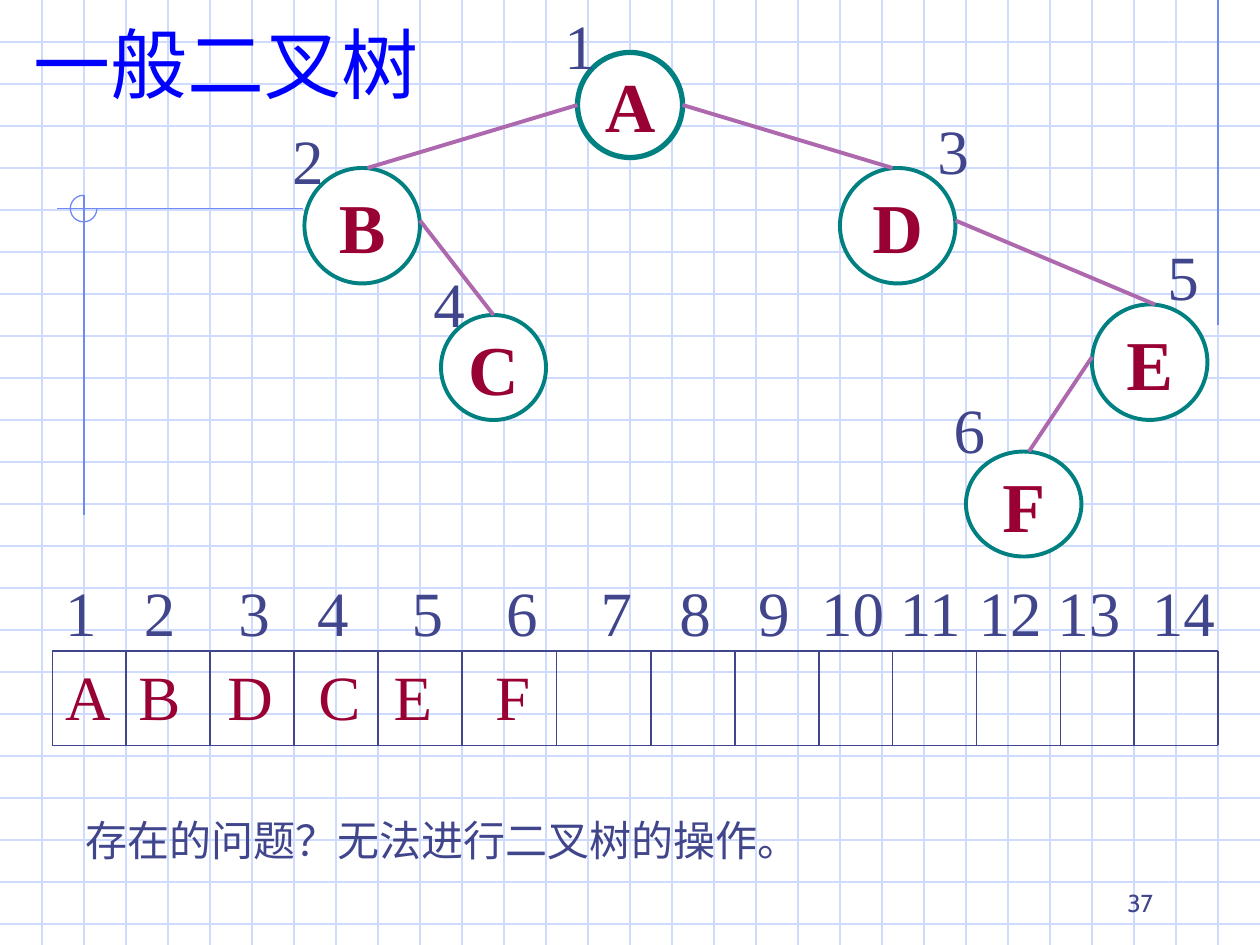
from pptx import Presentation
from pptx.dml.color import RGBColor
from pptx.enum.shapes import MSO_CONNECTOR, MSO_SHAPE
from pptx.enum.text import MSO_ANCHOR, MSO_AUTO_SIZE, PP_ALIGN
from pptx.oxml.ns import qn
from pptx.util import Pt
from lxml import etree

STRAIGHT = MSO_CONNECTOR.STRAIGHT
OVAL, ARC = MSO_SHAPE.OVAL, MSO_SHAPE.ARC
TOP, MIDDLE, BOTTOM = MSO_ANCHOR.TOP, MSO_ANCHOR.MIDDLE, MSO_ANCHOR.BOTTOM
LEFT, CENTER, RIGHT = PP_ALIGN.LEFT, PP_ALIGN.CENTER, PP_ALIGN.RIGHT
NO_FIT = MSO_AUTO_SIZE.NONE

SERIF, SANS = "Times New Roman", "Cabin"
INK, CRIMSON, TEAL, MAUVE = "40458C", "990033", "008080", "AE68AE"
GRID, ACCENT, BLUE, WHITE = "CFDBFD", "6F89F7", "0000FF", "FFFFFF"

NODES = {
    "A": (330, 30, 60, 60, 30),
    "B": (174, 96, 66, 66, 36),
    "C": (252, 180, 60, 60, 30),
    "D": (480, 96, 66, 66, 30),
    "E": (624, 174, 66, 66, 36),
    "F": (552, 258, 66, 60, 36),
}
EDGES = [("A", "B", LEFT), ("B", "C", RIGHT), ("A", "D", RIGHT),
         ("D", "E", RIGHT), ("E", "F", LEFT)]
NUMBERS = {"1": (315.4, 0), "2": (159.8, 66), "3": (528.5, 60),
           "4": (240.5, 147.6), "5": (660, 132), "6": (537.8, 219.6)}

CELL_EDGES = [30, 72, 120, 168, 216, 264, 318, 372,
              420, 468, 510, 558, 606, 648, 696]
INDEX_STARTS = [37.2, 82.2, 136.2, 181.2, 235.2, 289.2, 343.2,
                388.2, 433.2, 469.2, 514.2, 559.2, 604.2, 658.2]
VALUE_STARTS = [37.2, 79, 130, 182, 225, 283]


def color(value):
    return RGBColor.from_string(value)


def add_line(page, start, end, stroke, width):
    line = page.shapes.add_connector(STRAIGHT, *map(Pt, start + end))
    line.line.color.rgb = color(stroke)
    line.line.width = Pt(width)
    etree.SubElement(line._element.spPr, qn("a:effectLst"))


def write(shape, text, size, font, fill, align=LEFT, anchor=TOP, wrap=True, bold=False):
    frame = shape.text_frame
    frame.word_wrap = wrap
    frame.auto_size = NO_FIT
    frame.vertical_anchor = anchor
    para = frame.paragraphs[0]
    para.text = text
    para.alignment = align
    para.font.size = Pt(size)
    para.font.name = font
    para.font.bold = bold
    para.font.color.rgb = color(fill)
    return para


def add_text(page, box, *args, **options):
    label = page.shapes.add_textbox(*map(Pt, box))
    return label, write(label, *args, **options)


def draw_background(page, box):
    left, top, width, height = box
    right, bottom = left + width, top + height
    for y in range(top + 24, bottom, 24):
        add_line(page, (left, y), (right, y), GRID, 0.75)
    for x in range(left + 24, right, 24):
        add_line(page, (x, top), (x, bottom), GRID, 0.75)
    add_line(page, (left + 696, top), (left + 696, top + 186), ACCENT, 0.75)
    add_line(page, (left + 173, top + 119.2), (left + 32.4, top + 119.2), ACCENT, 0.75)
    add_line(page, (left + 48, top + 111.6), (left + 48, top + 294.5), ACCENT, 0.75)
    ring = page.shapes.add_shape(ARC, Pt(left + 40.2), Pt(top + 111.6), Pt(15.2), Pt(15.2))
    ring.adjustments[0], ring.adjustments[1] = 0, 162
    ring.shadow.inherit = False
    ring.fill.background()
    ring.line.color.rgb = color(ACCENT)
    ring.line.width = Pt(0.75)


def draw_tree(page, box):
    origin_x, origin_y = box[:2]
    for name, (x, y, width, height, _) in NODES.items():
        node = page.shapes.add_shape(
            OVAL, Pt(origin_x + x), Pt(origin_y + y), Pt(width), Pt(height))
        node.shadow.inherit = False
        node.fill.solid()
        node.fill.fore_color.rgb = color(WHITE)
        node.line.color.rgb = color(TEAL)
        node.line.width = Pt(3 if name == "A" else 2.25)
        write(node, name, 40, SERIF, CRIMSON, CENTER, MIDDLE, wrap=False, bold=True)
    for parent, child, side in EDGES:
        x, y, width, _, _ = NODES[parent]
        child_x, child_y, _, _, joint = NODES[child]
        start_x = x + width if side == RIGHT else x
        add_line(page, (origin_x + start_x, origin_y + y + 30),
                 (origin_x + child_x + joint, origin_y + child_y), MAUVE, 2.25)
    for number, (x, y) in NUMBERS.items():
        add_text(page, (origin_x + x, origin_y + y, 32.4, 50.4),
                 number, 36, SERIF, INK, wrap=False)


def add_tabbed_row(page, box, items, starts, fill):
    label, para = add_text(page, box, "\t".join(items), 36, SERIF, fill)
    label.text_frame.margin_left = Pt(starts[0] - box[0])
    label.text_frame.margin_right = 0
    stops = etree.Element(qn("a:tabLst"))
    for start in starts[1:]:
        etree.SubElement(stops, qn("a:tab"), pos=str(Pt(start - starts[0])), algn="l")
    para._p.get_or_add_pPr().insert(0, stops)


def draw_array(page, box):
    left, top, width, height = box
    right, bottom = left + width, top + height
    for y in (top, bottom):
        add_line(page, (left, y), (right, y), INK, 1)
    for x in CELL_EDGES:
        add_line(page, (x, top), (x, bottom), INK, 1)
    add_tabbed_row(page, (24, top, 288, 50.4), "ABDCEF", VALUE_STARTS, CRIMSON)
    indexes = [str(number) for number in range(1, len(CELL_EDGES))]
    add_tabbed_row(page, (24, top - 48, 696, 50.4), indexes, INDEX_STARTS, INK)


def place_title(page, box):
    title = page.shapes.title
    title.left, title.top, title.width, title.height = map(Pt, box)
    write(title, "一般二叉树", 44, SANS, BLUE, anchor=BOTTOM)
    title._element.getparent().append(title._element)


def main():
    deck = Presentation()
    deck.slide_width, deck.slide_height = Pt(720), Pt(540)
    page = deck.slides.add_slide(deck.slide_layouts[5])
    draw_background(page, (0, 0, 720, 540))
    draw_tree(page, (0, 0, 720, 330))
    place_title(page, (12, 0, 252, 66))
    draw_array(page, (30, 372, 666, 54))
    _, question = add_text(page, (42, 462, 480, 36),
                           "存在的问题？无法进行二叉树的操作。", 24, SANS, INK)
    question.space_before = Pt(15)
    add_text(page, (516, 492, 150, 36), "37", 14, SANS, INK, RIGHT, BOTTOM)
    deck.save("out.pptx")


if __name__ == "__main__":
    main()
